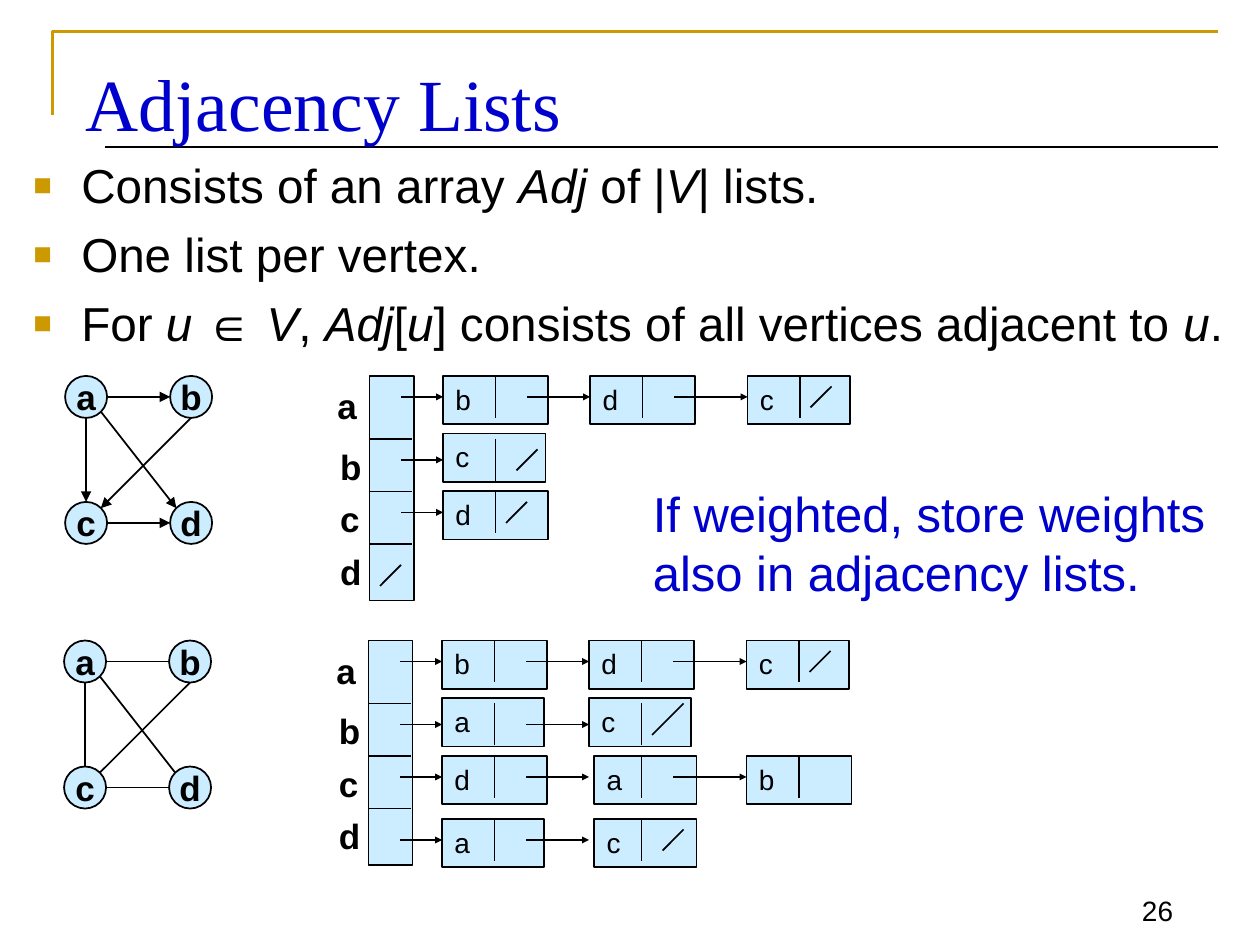
from dataclasses import dataclass

from lxml import etree
from pptx import Presentation
from pptx import util as u
from pptx.dml.color import RGBColor
from pptx.enum import shapes, text
from pptx.oxml.ns import qn

# The slide is a grid of 120 columns by 90 rows, twelve to the inch
CELL = u.Inches(1) / 12
BLACK, BLUE, GOLD, PALE = "000000", "0000CC", "CC9900", "CCECFF"
VERTICES = "abcd"

# Positions inside a diagram, in grid units from its top left corner
VERTEX_SIZE = 4
VERTEX_PLACES = ((0, 0), (10, 0), (0, 12), (10, 12))
EDGES = ((4, 2, 10, 2), (12, 4, 3.4, 12.6), (2, 4, 2, 12),
         (3.4, 3.4, 10.6, 12.6), (4, 14, 10, 14))
ARRAY_LEFT, ARRAY_WIDTH, ARRAY_HEIGHT = 29, 4.2, 21.4
LABEL_ROWS = (0.25, 6, 11, 16)
NODE_ROWS = (0, 5.5, 11, 17)
SPLIT_ROWS = (0, 6, 11, 17)
ARROW_ROWS = (2, 8, 13, 19)
NODE_COLUMNS = (36, 50, 65)
SPLIT_COLUMNS = (41, 55, 70)
ARROW_STARTS = (32, 44, 58)


@dataclass
class Diagram:
    left: float
    top: float
    directed: bool
    lists: tuple[str, ...]    # neighbours of a, b, c and d
    slashes: tuple[tuple[float, float, float], ...]    # left, top, size


DIAGRAMS = (
    Diagram(6.2, 35.8, True, ("bdc", "c", "d", ""),
            ((71, 1, 2), (43, 7, 2), (42, 12, 2), (30, 18, 2))),
    Diagram(6.1, 61, False, ("bdc", "ac", "dab", "ac"),
            ((71, 1, 2), (56, 6, 3), (57, 18, 2))),
)

# Text between asterisks is italic
BULLETS = (
    "Consists of an array *Adj* of |*V*| lists.",
    "One list per vertex.",
    "For *u *∈ *V*, *Adj*[*u*] consists of all vertices adjacent to *u*.",
)

presentation = Presentation()
presentation.slide_width, presentation.slide_height = u.Inches(10), u.Inches(7.5)
slide = presentation.slides.add_slide(presentation.slide_layouts[6])


def color(value: str) -> RGBColor:
    return RGBColor.from_string(value)


def grid(*values: float) -> list[u.Emu]:
    return [u.Emu(round(value * CELL)) for value in values]


def style_font(font, size: float, hue: str, bold=False, name="Arial") -> None:
    font.name, font.size, font.bold = name, u.Pt(size), bold
    font.color.rgb = color(hue)


def set_margins(frame, left=0.1, top=0.05, right=0.1, bottom=0.05) -> None:
    frame.margin_left, frame.margin_top = u.Inches(left), u.Inches(top)
    frame.margin_right, frame.margin_bottom = u.Inches(right), u.Inches(bottom)


def add_text(content: str, place: tuple, size: float, hue=BLACK, bold=False,
             name="Arial"):
    frame = slide.shapes.add_textbox(*grid(*place)).text_frame
    frame.word_wrap = True
    frame.text = content
    style_font(frame.paragraphs[0].runs[0].font, size, hue, bold, name)
    return frame


def add_box(kind, place: tuple, label="", size=16, bold=False):
    shape = slide.shapes.add_shape(kind, *grid(*place))
    shape.shadow.inherit = False
    shape.fill.solid()
    shape.fill.fore_color.rgb = color(PALE)
    shape.line.color.rgb, shape.line.width = color(BLACK), u.Pt(1)
    frame = shape.text_frame
    frame.text = label
    frame.vertical_anchor = text.MSO_ANCHOR.TOP
    frame.paragraphs[0].alignment = text.PP_ALIGN.LEFT
    set_margins(frame)
    for run in frame.paragraphs[0].runs:
        style_font(run.font, size, BLACK, bold)
    return shape


def add_line(ends: tuple, origin=(0, 0), width=1.0, head="") -> None:
    """Draw a line; head is the arrowhead size, or empty for none."""
    x, y = origin
    x1, y1, x2, y2 = ends
    line = slide.shapes.add_connector(
        shapes.MSO_CONNECTOR.STRAIGHT, *grid(x + x1, y + y1, x + x2, y + y2))
    line.line.color.rgb, line.line.width = color(BLACK), u.Pt(width)
    if head:
        etree.SubElement(line.line._get_or_add_ln(), qn("a:tailEnd"),
                         type="triangle", w=head, len=head)
    etree.SubElement(line._element.spPr, qn("a:effectLst"))


def add_bullets() -> None:
    frame = slide.shapes.add_textbox(*grid(2, 14, 116, 22)).text_frame
    frame.word_wrap = True
    set_margins(frame, top=0.07, right=0)
    for index, content in enumerate(BULLETS):
        paragraph = frame.paragraphs[0] if index == 0 else frame.add_paragraph()
        paragraph.space_after = u.Pt(6.8)
        for part, words in enumerate(content.split("*")):
            run = paragraph.add_run()
            run.text = words
            style_font(run.font, 27.2, BLACK)
            run.font.italic = part % 2 == 1
        properties = paragraph._p.get_or_add_pPr()
        properties.set("marL", str(u.Inches(0.38)))
        properties.set("indent", str(-u.Inches(0.38)))
        hue = etree.SubElement(properties, qn("a:buClr"))
        etree.SubElement(hue, qn("a:srgbClr"), val=GOLD)
        etree.SubElement(properties, qn("a:buSzPct"), val="65000")
        etree.SubElement(properties, qn("a:buFont"), typeface="Arial")
        etree.SubElement(properties, qn("a:buChar"), char="■")


def add_diagram(diagram: Diagram) -> None:
    left, top = origin = diagram.left, diagram.top

    # Graph
    for vertex, (x, y) in zip(VERTICES, VERTEX_PLACES):
        place = (left + x, top + y, VERTEX_SIZE, VERTEX_SIZE)
        frame = add_box(shapes.MSO_SHAPE.OVAL, place, vertex, 20, True).text_frame
        frame.vertical_anchor = text.MSO_ANCHOR.MIDDLE
        frame.paragraphs[0].alignment = text.PP_ALIGN.CENTER
        set_margins(frame, 0, 0, 0, 0)
    for edge in EDGES:
        add_line(edge, origin, head="med" if diagram.directed else "")

    # Array of list heads
    add_box(shapes.MSO_SHAPE.RECTANGLE,
            (left + ARRAY_LEFT, top, ARRAY_WIDTH, ARRAY_HEIGHT))
    for index, (vertex, row) in enumerate(zip(VERTICES, LABEL_ROWS)):
        column = 25 if index else 24.75
        add_text(vertex, (left + column, top + row, 4.2, 5.2), 20, bold=True)
        if index:
            add_line((ARRAY_LEFT, row, ARRAY_LEFT + 4, row), origin)

    # Linked nodes: boxes first, then the arrows over them
    for row, neighbours in enumerate(diagram.lists):
        for column, vertex in enumerate(neighbours):
            shift = 0.5 if column == 1 and row >= 2 else 0
            width = 10 if vertex in "bd" else 9.75
            add_box(shapes.MSO_SHAPE.RECTANGLE,
                    (left + NODE_COLUMNS[column] + shift, top + NODE_ROWS[row],
                     width, 4.6), vertex)
            x, y = SPLIT_COLUMNS[column], SPLIT_ROWS[row]
            add_line((x, y, x, y + 4), origin)
        for column in range(len(neighbours)):
            y = ARROW_ROWS[row]
            add_line((ARROW_STARTS[column], y, NODE_COLUMNS[column], y),
                     origin, head="sm")
    for x, y, size in diagram.slashes:
        add_line((x + size, y, x, y + size), origin)


# Frame lines
builder = slide.shapes.build_freeform(*grid(5, 11))
builder.add_line_segments([grid(5, 3), grid(116, 3)], close=False)
corner = builder.convert_to_shape()
corner.shadow.inherit = False
corner.fill.background()
corner.line.color.rgb, corner.line.width = color(GOLD), u.Pt(1.5)
add_line((10, 14, 116, 14), width=0.75)

# Page number, title and bullets
number = add_text("26", (105, 83, 7.9, 5.9), 16)
number.vertical_anchor = text.MSO_ANCHOR.BOTTOM
number.paragraphs[0].alignment = text.PP_ALIGN.RIGHT
title = add_text("Adjacency Lists", (7, 4, 109, 9), 42, BLUE,
                 name="Times New Roman")
set_margins(title, top=0.13, bottom=0)
add_bullets()

# Diagrams and the remark beside them
for item in DIAGRAMS:
    add_diagram(item)
add_text("If weighted, store weights also in adjacency lists.",
         (61, 45.5, 55.7, 12.5), 28, BLUE)

presentation.save("out.pptx")
